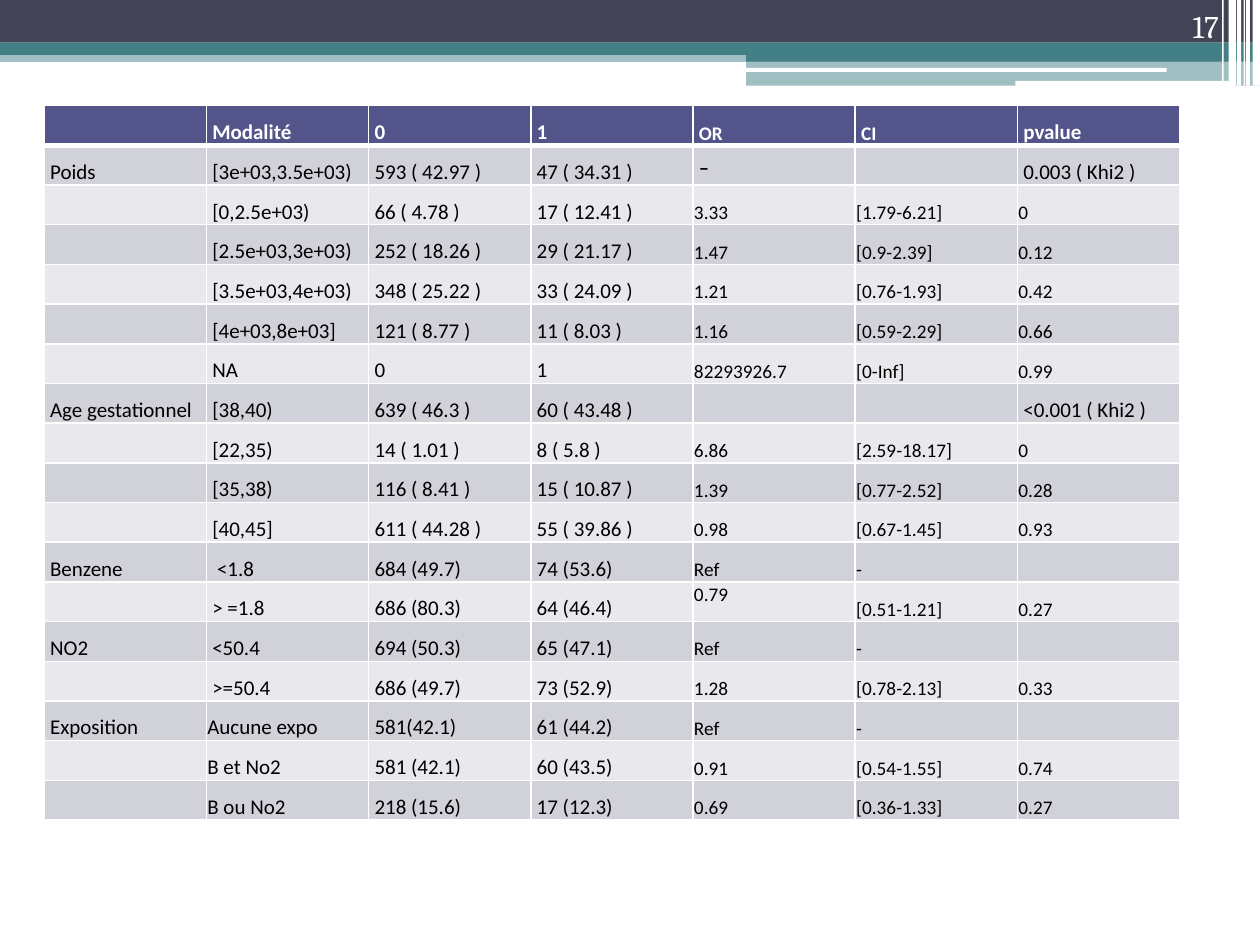
from lxml import etree
from pptx import Presentation
from pptx.dml.color import RGBColor
from pptx.enum.shapes import MSO_SHAPE
from pptx.enum.text import MSO_ANCHOR, PP_ALIGN
from pptx.oxml.ns import qn
from pptx.util import Cm, Pt

RECTANGLE, ROUNDED = MSO_SHAPE.RECTANGLE, MSO_SHAPE.ROUNDED_RECTANGLE
TOP, BOTTOM = MSO_ANCHOR.TOP, MSO_ANCHOR.BOTTOM
RIGHT = PP_ALIGN.RIGHT

BLANK_LAYOUT = 6
WHITE, BLACK = "FFFFFF", "000000"
NAVY, TEAL = "424456", "438086"
HEADER_FILL, ODD_FILL, EVEN_FILL = "53548A", "D1D1DA", "E9E9ED"
SLIDE_WIDTH = 25.4
COLUMN_WIDTH, ROW_HEIGHT = 3.27, 0.8
OR_COLUMN, CI_COLUMN = 4, 5
FIRST_EXPOSURE_ROW = 15

# left, top, width, height (cm), colour, opacity in percent
BANDS = [
    (0, 1.02, SLIDE_WIDTH, 0.23, TEAL, 50),
    (0, 0, SLIDE_WIDTH, 0.86, NAVY, 100),
    (0, 0.86, SLIDE_WIDTH, 0.25, TEAL, 100),
    (15.04, 0.99, 10.36, 0.25, TEAL, 100),
    (15.04, 1.22, 10.36, 0.51, TEAL, 50),
]
WHITE_BARS = [(15.01, 1.37, 8.51, 0.08), (20.47, 1.63, 4.45, 0.1)]
# left, width, height (cm)
STRIPES = [
    (25.25, 0.15, 1.73), (25.12, 0.08, 1.73), (25.07, 0.03, 1.73),
    (24.94, 0.08, 1.73), (24.77, 0.15, 1.63), (24.64, 0.03, 1.63),
]

RESULTS = [
    ("", "Modalité", "0", "1", "OR", "CI", "pvalue"),
    ("Poids", "[3e+03,3.5e+03)", "593 ( 42.97 )", "47 ( 34.31 )", "-", "", "0.003 ( Khi2 )"),
    ("", "[0,2.5e+03)", "66 ( 4.78 )", "17 ( 12.41 )", "3.33", "[1.79-6.21]", "0"),
    ("", "[2.5e+03,3e+03)", "252 ( 18.26 )", "29 ( 21.17 )", "1.47", "[0.9-2.39]", "0.12"),
    ("", "[3.5e+03,4e+03)", "348 ( 25.22 )", "33 ( 24.09 )", "1.21", "[0.76-1.93]", "0.42"),
    ("", "[4e+03,8e+03]", "121 ( 8.77 )", "11 ( 8.03 )", "1.16", "[0.59-2.29]", "0.66"),
    ("", "NA", "0", "1", "82293926.7", "[0-Inf]", "0.99"),
    ("Age gestationnel", "[38,40)", "639 ( 46.3 )", "60 ( 43.48 )", "", "", "<0.001 ( Khi2 )"),
    ("", "[22,35)", "14 ( 1.01 )", "8 ( 5.8 )", "6.86", "[2.59-18.17]", "0"),
    ("", "[35,38)", "116 ( 8.41 )", "15 ( 10.87 )", "1.39", "[0.77-2.52]", "0.28"),
    ("", "[40,45]", "611 ( 44.28 )", "55 ( 39.86 )", "0.98", "[0.67-1.45]", "0.93"),
    ("Benzene", " <1.8", "684 (49.7)", "74 (53.6)", "Ref", "-", ""),
    ("", "> =1.8", "686 (80.3)", "64 (46.4)", "0.79", "[0.51-1.21]", "0.27"),
    ("NO2", "<50.4", "694 (50.3)", "65 (47.1)", "Ref", "-", ""),
    ("", ">=50.4", "686 (49.7)", "73 (52.9)", "1.28", "[0.78-2.13]", "0.33"),
    ("Exposition", "Aucune expo", "581(42.1)", "61 (44.2)", "Ref", "-", ""),
    ("", "B et No2", "581 (42.1)", "60 (43.5)", "0.91", "[0.54-1.55]", "0.74"),
    ("", "B ou No2", "218 (15.6)", "17 (12.3)", "0.69", "[0.36-1.33]", "0.27"),
]


def paint(fill, colour):
    fill.solid()
    fill.fore_color.rgb = RGBColor.from_string(colour)


def style_text(paragraph, size, font_name, colour, bold=False):
    font = paragraph.font
    font.size, font.name, font.bold = Pt(size), font_name, bold
    font.color.rgb = RGBColor.from_string(colour)


def add_band(slide, left, top, width, height, colour, opacity=100, outline=RECTANGLE):
    band = slide.shapes.add_shape(outline, Cm(left), Cm(top), Cm(width), Cm(height))
    band.shadow.inherit = False
    band.line.fill.background()
    paint(band.fill, colour)
    if opacity < 100:
        tint = band.fill._xPr.find(qn("a:solidFill"))[0]
        etree.SubElement(tint, qn("a:alpha")).set("val", str(opacity * 1000))


def add_banner(slide):
    for band in BANDS:
        add_band(slide, *band)
    for bar in WHITE_BARS:
        add_band(slide, *bar, WHITE, outline=ROUNDED)
    for left, width, height in STRIPES:
        add_band(slide, left, 0, width, height, WHITE)


def set_borders(cell, row):
    """White grid, with a thicker rule between the header and the body."""
    widths = {"lnL": 1, "lnR": 1, "lnT": 3 if row == 1 else 1, "lnB": 3 if row == 0 else 1}
    properties = cell._tc.get_or_add_tcPr()
    for position, (side, width) in enumerate(widths.items()):
        border = etree.Element(qn(f"a:{side}"), w=str(Pt(width)))
        line_fill = etree.SubElement(border, qn("a:solidFill"))
        etree.SubElement(line_fill, qn("a:srgbClr")).set("val", WHITE)
        properties.insert(position, border)


def format_cell(cell, row, column, text):
    is_header = row == 0
    is_estimate = row > 1 and column >= OR_COLUMN and "Khi2" not in text
    is_tight = is_estimate or (column == 1 and row >= FIRST_EXPOSURE_ROW)
    is_reference_dash = (row, column) == (1, OR_COLUMN)
    is_small = is_estimate or (is_header and column in (OR_COLUMN, CI_COLUMN))

    cell.text = text
    cell.margin_left = cell.margin_right = Cm(0.02 if is_tight else 0.12)
    cell.margin_top = Cm(0.02 if is_tight else 0)
    cell.margin_bottom = 0
    cell.vertical_anchor = TOP if text == "0.79" else BOTTOM
    paint(cell.fill, HEADER_FILL if is_header else ODD_FILL if row % 2 else EVEN_FILL)
    set_borders(cell, row)

    paragraph = cell.text_frame.paragraphs[0]
    if is_reference_dash:
        style_text(paragraph, 18, "Cambria", BLACK)
    else:
        style_text(paragraph, 11 if is_small else 12, "Calibri",
                   WHITE if is_header else BLACK, is_header)
        paragraph.line_spacing = 1.0 if is_tight else 1.15


def add_results_table(slide):
    row_count, column_count = len(RESULTS), len(RESULTS[0])
    table = slide.shapes.add_table(
        row_count, column_count, Cm(0.89), Cm(2.13),
        Cm(COLUMN_WIDTH * column_count), Cm(ROW_HEIGHT * row_count)).table
    table.horz_banding = False
    for column in table.columns:
        column.width = Cm(COLUMN_WIDTH)
    for row, values in enumerate(RESULTS):
        table.rows[row].height = Cm(ROW_HEIGHT)
        for column, text in enumerate(values):
            format_cell(table.cell(row, column), row, column, text)


def add_page_number(slide, number):
    frame = slide.shapes.add_textbox(Cm(22.71), Cm(0), Cm(2.11), Cm(1.02)).text_frame
    frame.word_wrap = True
    frame.vertical_anchor = BOTTOM
    paragraph = frame.paragraphs[0]
    paragraph.text = number
    paragraph.alignment = RIGHT
    style_text(paragraph, 18, "Cambria", WHITE)


def main():
    presentation = Presentation()
    presentation.slide_width, presentation.slide_height = Cm(SLIDE_WIDTH), Cm(19.05)
    slide = presentation.slides.add_slide(presentation.slide_layouts[BLANK_LAYOUT])
    add_banner(slide)
    add_results_table(slide)
    add_page_number(slide, "17")
    presentation.save("out.pptx")


if __name__ == "__main__":
    main()
